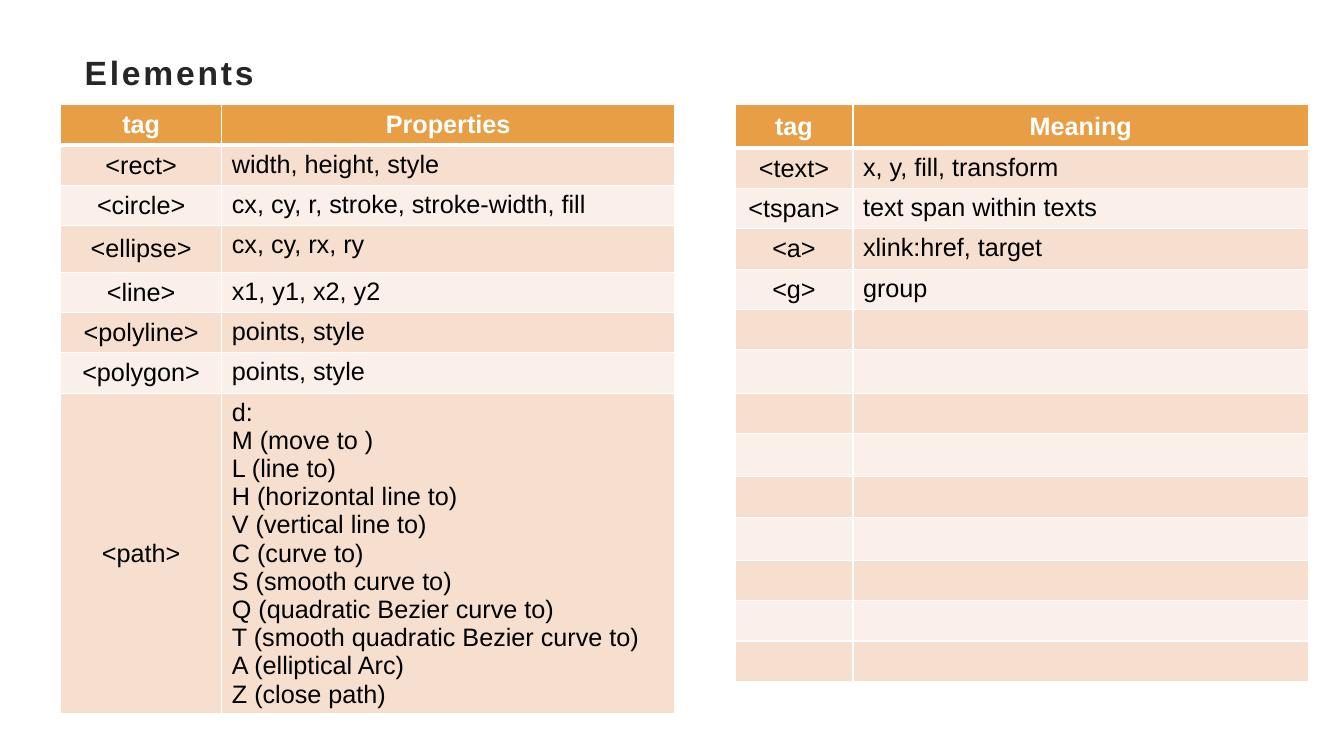
from dataclasses import dataclass

from lxml import etree
from pptx import Presentation
from pptx.dml.color import RGBColor
from pptx.enum.text import MSO_ANCHOR, MSO_AUTO_SIZE, PP_ALIGN
from pptx.oxml.ns import qn
from pptx.util import Inches, Pt

MIDDLE, TOP = MSO_ANCHOR.MIDDLE, MSO_ANCHOR.TOP
CENTER, LEFT = PP_ALIGN.CENTER, PP_ALIGN.LEFT
NO_AUTOFIT = MSO_AUTO_SIZE.NONE
TITLE_ONLY = 5


@dataclass(frozen=True)
class Theme:
    font: str = "Arial"
    title_size: int = 24
    table_size: int = 18
    title: str = "262626"
    header: str = "E79E45"
    header_text: str = "FFFFFF"
    text: str = "000000"
    bands: tuple[str, str] = ("F6DFCF", "FAF0E9")
    border: str = "FFFFFF"
    border_width: int = 1
    header_rule: int = 3


@dataclass(frozen=True)
class TagTable:
    left: float
    columns: tuple[float, float]
    heights: tuple[float, ...]
    rows: tuple[tuple[str, str], ...]


THEME = Theme()
TABLE_TOP = 1.04

PATH_COMMANDS = """d:
M (move to )
L (line to)
H (horizontal line to)
V (vertical line to)
C (curve to)
S (smooth curve to)
Q (quadratic Bezier curve to)
T (smooth quadratic Bezier curve to)
A (elliptical Arc)
Z (close path)"""

SHAPES = TagTable(
    left=0.6,
    columns=(1.6, 4.49),
    heights=(0.4, 0.4, 0.4, 0.46, 0.4, 0.4, 0.4, 3.16),
    rows=(
        ("tag", "Properties"),
        ("<rect>", "width, height, style"),
        ("<circle>", "cx, cy, r, stroke, stroke-width, fill"),
        ("<ellipse>", "cx, cy, rx, ry"),
        ("<line>", "x1, y1, x2, y2"),
        ("<polyline>", "points, style"),
        ("<polygon>", "points, style"),
        ("<path>", PATH_COMMANDS),
    ),
)

TEXTS = TagTable(
    left=7.29,
    columns=(1.17, 4.52),
    heights=(0.43, *[0.4] * 5, *[0.43, 0.4] * 3, 0.4, 0.4),
    rows=(
        ("tag", "Meaning"),
        ("<text>", "x, y, fill, transform"),
        ("<tspan>", "text span within texts"),
        ("<a>", "xlink:href, target"),
        ("<g>", "group"),
        *[("", "")] * 9,
    ),
)


def style_font(font, size: int, color: str, bold: bool) -> None:
    font.name = THEME.font
    font.size = Pt(size)
    font.bold = bold
    font.color.rgb = RGBColor.from_string(color)


def set_borders(cell, top: int, bottom: int) -> None:
    """Draw the four cell borders; widths are in points."""
    tc_pr = cell._tc.get_or_add_tcPr()
    side = THEME.border_width
    widths = {"a:lnL": side, "a:lnR": side, "a:lnT": top, "a:lnB": bottom}
    for i, (tag, width) in enumerate(widths.items()):
        ln = etree.Element(qn(tag), w=str(Pt(width)))
        fill = etree.SubElement(ln, qn("a:solidFill"))
        etree.SubElement(fill, qn("a:srgbClr"), val=THEME.border)
        tc_pr.insert(i, ln)


def fill_cell(cell, text: str, row: int, col: int) -> None:
    is_header = row == 0
    cell.text = text
    cell.vertical_anchor = MIDDLE if is_header or col == 0 else TOP
    for p in cell.text_frame.paragraphs:
        p.alignment = CENTER if is_header or col == 0 else LEFT
        style_font(p.font, THEME.table_size,
                   THEME.header_text if is_header else THEME.text, is_header)
    cell.fill.solid()
    color = THEME.header if is_header else THEME.bands[(row - 1) % 2]
    cell.fill.fore_color.rgb = RGBColor.from_string(color)
    set_borders(cell,
                top=THEME.header_rule if row == 1 else THEME.border_width,
                bottom=THEME.header_rule if is_header else THEME.border_width)


def add_tag_table(s, spec: TagTable) -> None:
    table = s.shapes.add_table(
        len(spec.rows), len(spec.columns), Inches(spec.left), Inches(TABLE_TOP),
        Inches(sum(spec.columns)), Inches(sum(spec.heights))).table
    for column, width in zip(table.columns, spec.columns):
        column.width = Inches(width)
    for i, (height, texts) in enumerate(zip(spec.heights, spec.rows)):
        table.rows[i].height = Inches(height)
        for j, text in enumerate(texts):
            fill_cell(table.cell(i, j), text, i, j)


def add_title(s, text: str) -> None:
    sp = s.shapes.title
    sp.left, sp.top = Inches(0.73), Inches(0.48)
    sp.width, sp.height = Inches(11.87), Inches(0.48)
    tf = sp.text_frame
    tf.text = text
    tf.auto_size = NO_AUTOFIT
    tf.vertical_anchor = MIDDLE
    tf.margin_left, tf.margin_right = Inches(0.11), Inches(0.08)
    tf.margin_top = tf.margin_bottom = Inches(0.04)
    p = tf.paragraphs[0]
    p.alignment = LEFT
    style_font(p.font, THEME.title_size, THEME.title, True)
    p.runs[0]._r.get_or_add_rPr().set("spc", "200")


def main() -> None:
    prs = Presentation()
    prs.slide_width, prs.slide_height = Inches(13.33), Inches(7.5)
    s = prs.slides.add_slide(prs.slide_layouts[TITLE_ONLY])
    add_title(s, "Elements")
    for spec in (SHAPES, TEXTS):
        add_tag_table(s, spec)
    prs.save("out.pptx")


if __name__ == "__main__":
    main()
